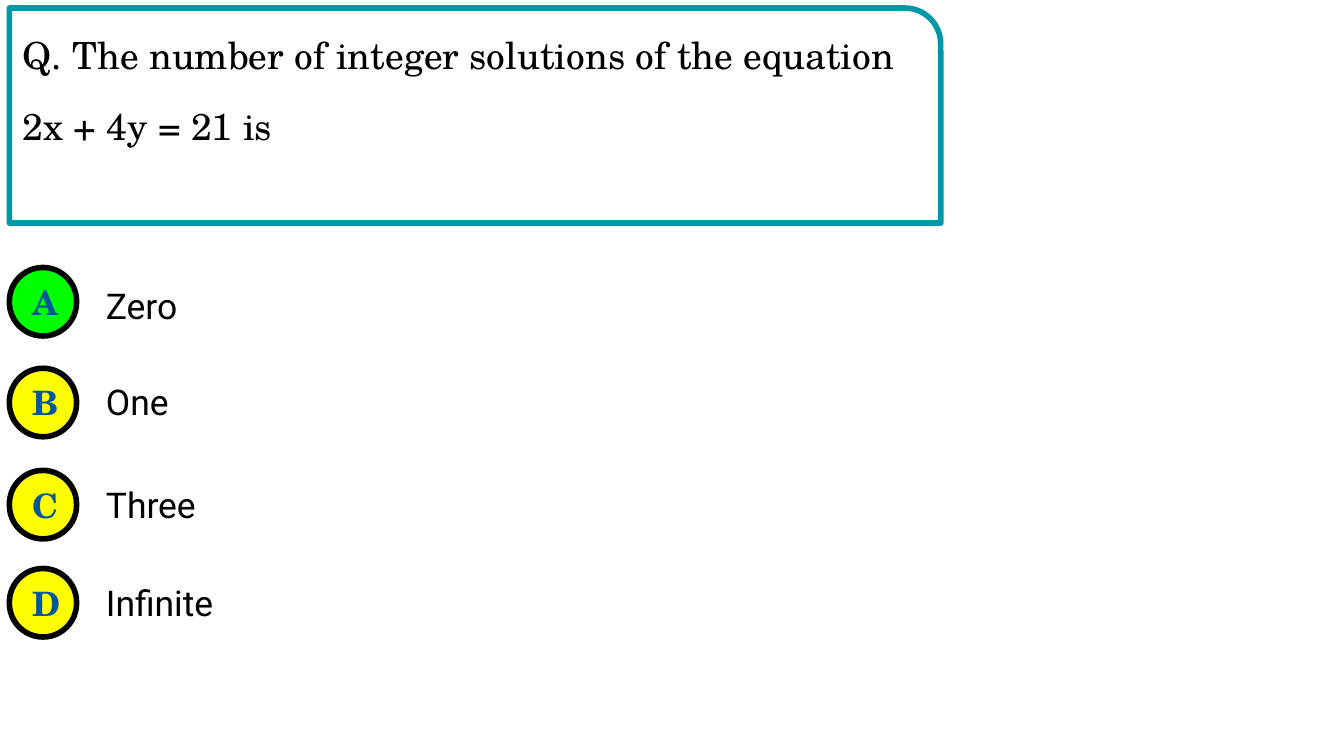
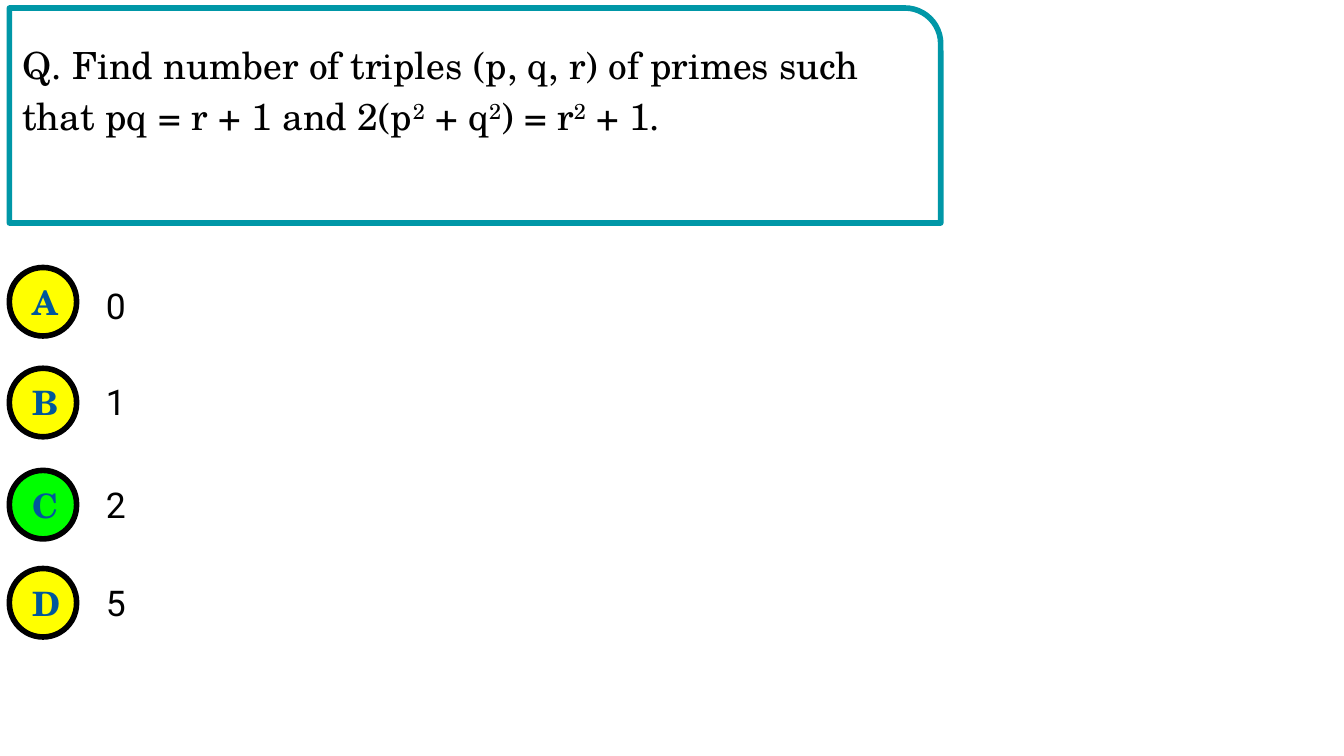
from dataclasses import dataclass

from pptx import Presentation
from pptx.dml.color import RGBColor as Rgb
from pptx.enum.shapes import MSO_SHAPE as Preset
from pptx.enum.text import MSO_ANCHOR as Anchor, MSO_AUTO_SIZE as AutoSize, PP_ALIGN as Align
from pptx.util import Inches, Pt

QUIZ = [
    {
        "question": [
            ["Q. The number of integer solutions of the equation"],
            ["2x + 4y = 21 is"],
        ],
        "answers": ["Zero", "One", "Three", "Infinite"],
        "correct": "A",
    },
    {
        "question": [
            ["Q. Find number of triples (p, q, r) of primes such that pq = r + 1 and 2(p",
             "2", " + q", "2", ") = r", "2", " + 1."],
        ],
        "answers": ["0", "1", "2", "5"],
        "correct": "C",
    },
]

OPTIONS = [
    {"letter": "A", "top": 1.99, "answer_top": 2.06, "width": 1.44, "spacing": 1.15},
    {"letter": "B", "top": 2.74, "answer_top": 2.8, "width": 1.11, "spacing": 1},
    {"letter": "C", "top": 3.5, "answer_top": 3.57, "width": 1.61, "spacing": 1},
    {"letter": "D", "top": 4.23, "answer_top": 4.3, "width": 1.53, "spacing": 1},
]


@dataclass(frozen=True)
class Theme:
    frame = Rgb(0x00, 0x97, 0xA7)
    ink = Rgb(0, 0, 0)
    letter = Rgb(0x00, 0x57, 0x9B)
    right = Rgb(0x00, 0xFF, 0x00)
    other = Rgb(0xFF, 0xFF, 0x00)
    serif = "TeX Gyre Schola"
    sans = "Roboto"
    stroke = Pt(3)
    question_gap = Pt(10)
    question_spacing = 1.15
    inset = 0.1


THEME = Theme()
FONTS = {
    "question": {"name": THEME.serif, "size": Pt(20), "bold": False, "color": THEME.ink},
    "letter": {"name": THEME.serif, "size": Pt(18), "bold": True, "color": THEME.letter},
    "answer": {"name": THEME.sans, "size": Pt(19), "bold": False, "color": THEME.ink},
}

SLIDE_WIDTH = 10
LEFT = 0.07
QUESTION_BOX = (LEFT, 0.06, 6.93, 1.6)
QUESTION_FOOT = 0.53
BADGE = (0.5, 0.51)
ANSWER_LEFT = 0.69
ANSWER_HEIGHT = 0.37


def inches(*lengths):
    return [Inches(length) for length in lengths]


def style_font(font, role):
    for key, value in FONTS[role].items():
        if key == "color":
            font.color.rgb = value
        else:
            setattr(font, key, value)


def style_frame(frame, foot=THEME.inset):
    layout = {
        "word_wrap": True,
        "auto_size": AutoSize.NONE,
        "vertical_anchor": Anchor.MIDDLE,
        "margin_left": Inches(THEME.inset),
        "margin_right": Inches(THEME.inset),
        "margin_top": Inches(THEME.inset),
        "margin_bottom": Inches(foot),
    }
    for key, value in layout.items():
        setattr(frame, key, value)


def add_outlined(slide, preset, box, color):
    shape = slide.shapes.add_shape(preset, *inches(*box))
    shape.shadow.inherit = False
    shape.line.color.rgb = color
    shape.line.width = THEME.stroke
    return shape


def write_line(line, pieces, role, align, spacing):
    line.alignment = align
    line.line_spacing = spacing
    for position, piece in enumerate(pieces):
        run = line.add_run()
        run.text = piece
        style_font(run.font, role)
        if position % 2:
            run.font._element.set("baseline", "30000")


def add_question(slide, lines):
    question = add_outlined(slide, Preset.ROUND_1_RECTANGLE, QUESTION_BOX, THEME.frame)
    question.fill.background()
    frame = question.text_frame
    style_frame(frame, QUESTION_FOOT)
    for number, pieces in enumerate(lines):
        line = frame.add_paragraph() if number else frame.paragraphs[0]
        write_line(line, pieces, "question", Align.LEFT, THEME.question_spacing)
        if number:
            line.space_before = THEME.question_gap


def add_badge(slide, option, fill):
    badge = add_outlined(
        slide, Preset.ROUNDED_RECTANGLE, (LEFT, option["top"], *BADGE), THEME.ink)
    badge.adjustments[0] = 0.5
    badge.fill.solid()
    badge.fill.fore_color.rgb = fill
    frame = badge.text_frame
    style_frame(frame)
    write_line(frame.paragraphs[0], [option["letter"]], "letter", Align.CENTER, 1)


def add_answer(slide, option, text):
    box = (ANSWER_LEFT, option["answer_top"], option["width"], ANSWER_HEIGHT)
    frame = slide.shapes.add_textbox(*inches(*box)).text_frame
    style_frame(frame)
    write_line(frame.paragraphs[0], [text], "answer", Align.LEFT, option["spacing"])


def main():
    deck = Presentation()
    deck.slide_width, deck.slide_height = inches(SLIDE_WIDTH, SLIDE_WIDTH * 9 / 16)
    blank = deck.slide_layouts[6]
    for item in QUIZ:
        slide = deck.slides.add_slide(blank)
        add_question(slide, item["question"])
        for option in OPTIONS:
            is_right = option["letter"] == item["correct"]
            add_badge(slide, option, THEME.right if is_right else THEME.other)
        for option, text in zip(OPTIONS, item["answers"]):
            add_answer(slide, option, text)
    deck.save("out.pptx")


if __name__ == "__main__":
    main()
